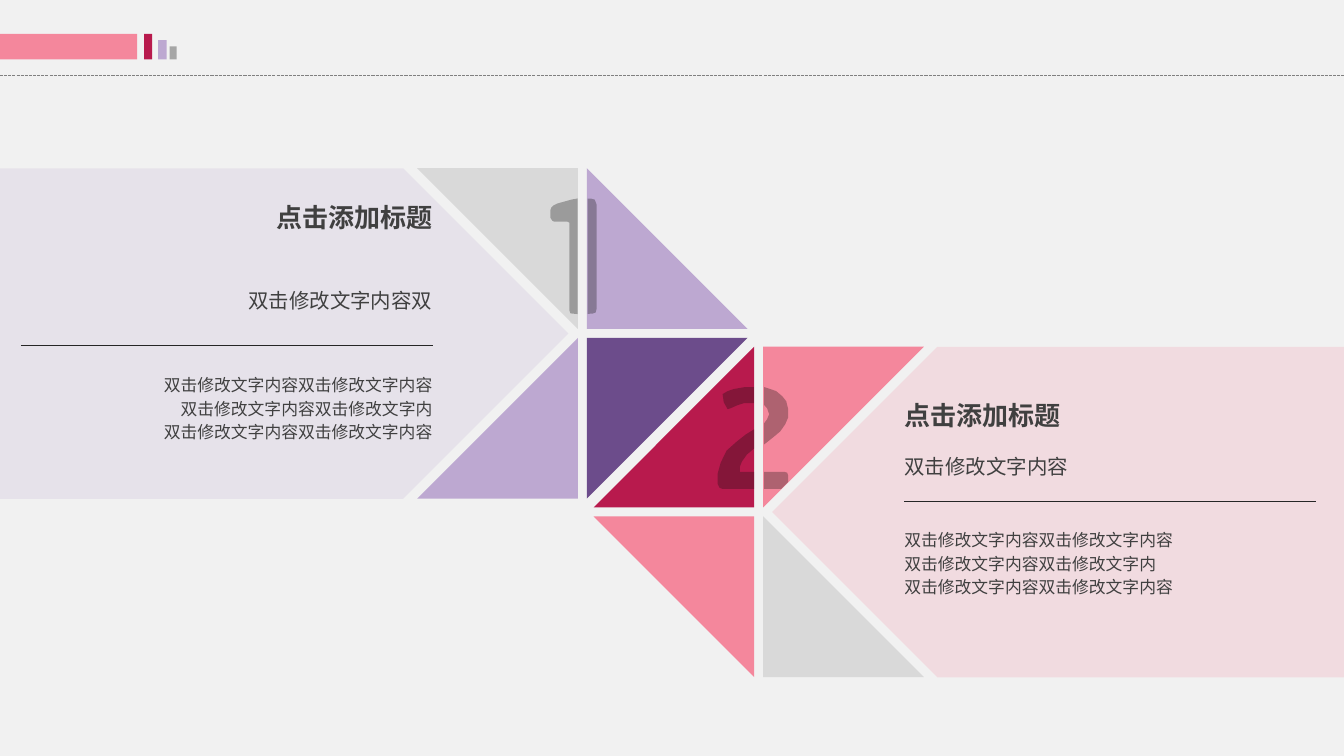
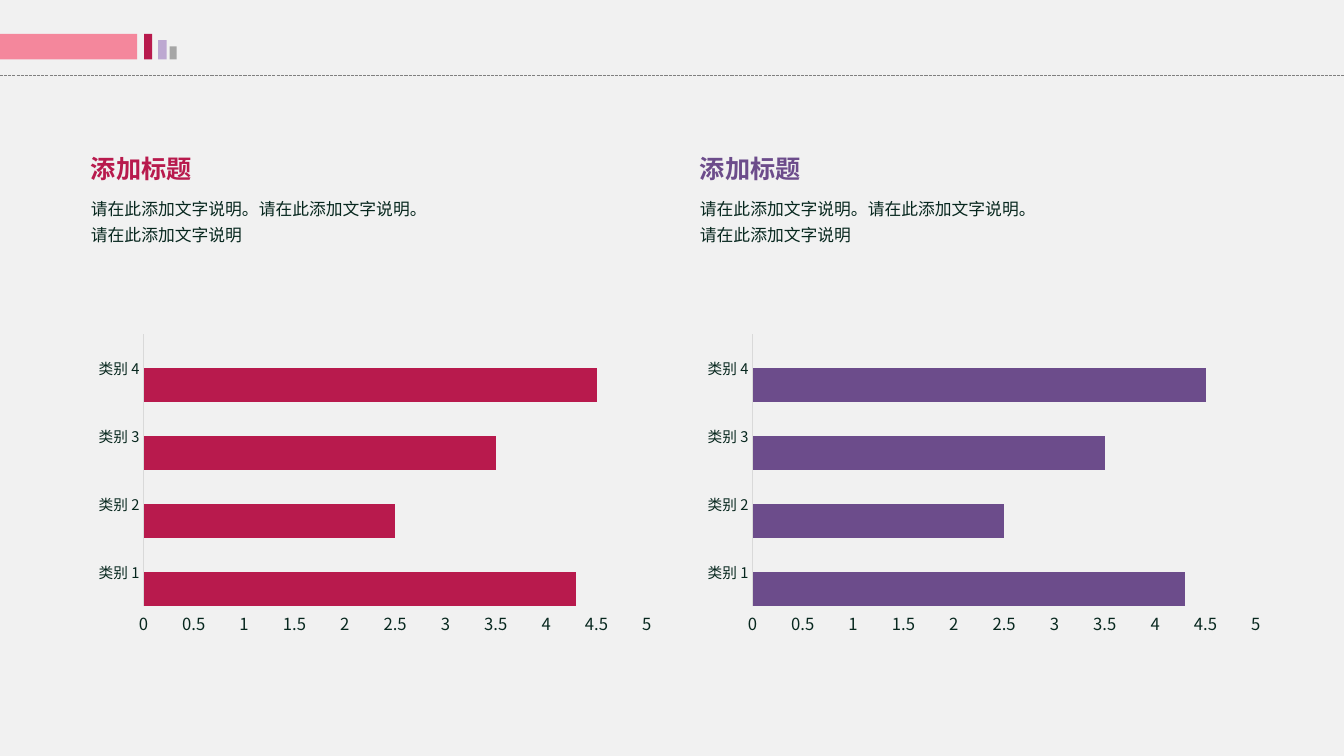
import pptx
import pptx.chart.data
import pptx.dml.color
import pptx.enum.chart
import pptx.enum.dml
import pptx.enum.shapes
import pptx.enum.text
import pptx.oxml.ns
import pptx.oxml.xmlchemy
import pptx.util

Pt = pptx.util.Pt
qn = pptx.oxml.ns.qn
new_element = pptx.oxml.xmlchemy.OxmlElement
RGB = pptx.dml.color.RGBColor.from_string
ALIGN = pptx.enum.text.PP_ALIGN
CJK = "Noto Sans CJK SC"
COLOURS = {
    "paper": "F1F1F1", "crimson": "B81A4D", "pink": "F4879C", "violet": "6C4C8B",
    "lilac": "BDA8D1", "silver": "D9D9D9", "grey": "A6A6A6", "dash": "808080",
    "rule": "262626", "text": "404040", "ink": "07271E", "digit": "0D0D0D",
    "navy": "0D4677", "amber": "ECAF45",
}
STYLES = {
    "heading": {"size": Pt(18.6), "bold": True, "name": "Karla"},
    "subheading": {"size": Pt(14.6), "name": CJK},
    "chart title": {"size": Pt(18), "bold": True, "name": CJK},
    "body": {"size": Pt(12), "name": CJK},
}


def draw_outline(page, points, colour, opacity=100):
    corners = [(Pt(x), Pt(y)) for x, y in points]
    builder = page.shapes.build_freeform(*corners[0], scale=1.0)
    builder.add_line_segments(corners[1:], close=True)
    shape = builder.convert_to_shape()
    shape.shadow.inherit = False
    shape.fill.solid()
    shape.fill.fore_color.rgb = RGB(COLOURS[colour])
    shape.line.fill.background()
    if opacity < 100:
        tint = shape._element.spPr.find(".//" + qn("a:srgbClr"))
        alpha = new_element("a:alpha")
        alpha.set("val", str(opacity * 1000))
        tint.append(alpha)


def write_text(page, left, top, width, lines, style, colour, spacing, align=ALIGN.LEFT):
    box = page.shapes.add_textbox(Pt(left), Pt(top), Pt(width), Pt(spacing * len(lines)))
    frame = box.text_frame
    layout = {"word_wrap": True, "margin_left": 0, "margin_right": 0,
              "margin_top": 0, "margin_bottom": 0}
    for key, value in layout.items():
        setattr(frame, key, value)
    for index, line in enumerate(lines):
        para = frame.add_paragraph() if index else frame.paragraphs[0]
        para.alignment = align
        para.line_spacing = Pt(spacing)
        span = para.add_run()
        span.text = line
        for key, value in STYLES[style].items():
            setattr(span.font, key, value)
        span.font.color.rgb = RGB(COLOURS[colour])
        east_asian = new_element("a:ea")
        east_asian.set("typeface", CJK)
        span.font._element.append(east_asian)


deck = pptx.Presentation()
deck.slide_width, deck.slide_height = Pt(960), Pt(540)
deck.slide_master.background.fill.solid()
deck.slide_master.background.fill.fore_color.rgb = RGB(COLOURS["paper"])
steps_page, charts_page = [deck.slides.add_slide(deck.slide_layouts[6]) for _ in range(2)]

header_bottom = 42.5
header_bars = [(0, 98, 18.2, "pink"), (102.9, 5.8, 18.2, "crimson"),
               (113, 6, 13.8, "lilac"), (121.2, 5, 9.4, "grey")]
for page in (steps_page, charts_page):
    for left, width, height, colour in header_bars:
        bar = page.shapes.add_shape(
            pptx.enum.shapes.MSO_SHAPE.RECTANGLE,
            Pt(left), Pt(header_bottom - height), Pt(width), Pt(height))
        bar.shadow.inherit = False
        bar.fill.solid()
        bar.fill.fore_color.rgb = RGB(COLOURS[colour])
        bar.line.fill.background()

panels = [(0, 288, 406, 120.2, "lilac"), (960, 669.6, 551.5, 247.7, "pink")]
panel_height = 236.1
for edge, shoulder, tip, top, colour in panels:
    bottom = top + panel_height
    draw_outline(steps_page, [(edge, top), (shoulder, top), (tip, top + panel_height / 2),
                              (shoulder, bottom), (edge, bottom)], colour, 20)

rules = [(page, 0, 960, 54, "dash") for page in (steps_page, charts_page)]
rules += [(steps_page, 15, 309, 247, "rule"), (steps_page, 646, 940.3, 358.3, "rule")]
for page, start, end, y, colour in rules:
    rule = page.shapes.add_connector(
        pptx.enum.shapes.MSO_CONNECTOR.STRAIGHT, Pt(start), Pt(y), Pt(end), Pt(y))
    rule.line.color.rgb = RGB(COLOURS[colour])
    rule.line.width = Pt(0.75)
    if colour == "dash":
        rule.line.dash_style = pptx.enum.dml.MSO_LINE.SQUARE_DOT
    rule._element.spPr.append(new_element("a:effectLst"))

step_body = ["双击修改文字内容双击修改文字内容", "双击修改文字内容双击修改文字内",
             "双击修改文字内容双击修改文字内容"]
step_texts = [
    (15, ALIGN.RIGHT, "双击修改文字内容双", (146, 205, 265.5)),
    (646, ALIGN.LEFT, "双击修改文字内容", (287.8, 324.2, 376.2)),
]
for left, align, subheading, tops in step_texts:
    parts = [(["点击添加标题"], "heading", 20), ([subheading], "subheading", 18),
             (step_body, "body", 16.8)]
    for top, (lines, style, spacing) in zip(tops, parts):
        write_text(steps_page, left, top, 294, lines, style, "text", spacing, align)

side, pitch = 114.8, 121.2
pinwheels = [
    (298, 120.2, [("silver", "bottom left"), ("lilac", "top right"),
                  ("lilac", "top left"), ("violet", "bottom right")]),
    (424, 247.7, [("crimson", "top left"), ("pink", "bottom right"),
                  ("pink", "bottom left"), ("silver", "top right")]),
]
for origin_x, origin_y, triangles in pinwheels:
    for index, (colour, cut_corner) in enumerate(triangles):
        row, column = divmod(index, 2)
        x, y = origin_x + column * pitch, origin_y + row * pitch
        corners = {"top left": (x, y), "top right": (x + side, y),
                   "bottom right": (x + side, y + side), "bottom left": (x, y + side)}
        del corners[cut_corner]
        draw_outline(steps_page, list(corners.values()), colour)

digit_halves = {
    "one left": [
        (412.6, 141.8), (408.2, 142.6), (398.2, 145.4), (395.3, 146.9), (393.8, 148.3),
        (393.1, 150.5), (393.1, 155.5), (394.6, 157.7), (396, 158.4), (405.4, 158.4),
        (406.8, 159.1), (406.8, 221.8), (407.5, 223.9), (412.6, 224.4)],
    "one right": [
        (419.8, 141.8), (421.9, 141.8), (424.8, 142.6), (426.2, 146.2), (426.2, 220.3),
        (425.5, 223.2), (423.4, 224), (419.8, 224.2)],
    "two foot": [
        (545.8, 337), (560.2, 337), (562.3, 337.7), (563, 339.8), (563, 344.2),
        (558, 349.2), (545.8, 349.2)],
    "two bowl": [
        (545.8, 276.5), (545.8, 289.4), (547.9, 291.6), (549.4, 295.9), (547.9, 299.5),
        (545.8, 302.4), (545.8, 317.5), (552.2, 312.5), (557.3, 308.2), (560.9, 303.1),
        (563, 298.1), (563, 292.3), (561.6, 286.6), (558.7, 283), (554.4, 279.4),
        (550.1, 277.9)],
    "two stem": [
        (538.6, 306.7), (532.8, 310.3), (526.3, 315.4), (519.1, 321.8), (514.8, 330.5),
        (512.6, 338.4), (512.6, 345.6), (514.1, 348.5), (516.2, 349.2), (538.6, 349.2),
        (538.6, 337), (528.5, 337), (528.5, 333.4), (529.9, 329.8), (533.5, 324.7),
        (538.6, 320.4)],
    "two cap": [
        (538.6, 276.5), (532.1, 276.5), (524.2, 277.9), (519.8, 279.4), (516.2, 281.5),
        (517, 287.3), (519.8, 292.3), (522, 291.6), (527, 289.4), (531.4, 288),
        (538.6, 288)],
}
for points in digit_halves.values():
    draw_outline(steps_page, points, "digit", 30)

plot_area = {"layoutTarget": "inner", "xMode": "edge", "yMode": "edge",
             "x": "0.1", "y": "0.02", "w": "0.87", "h": "0.87"}
value_format = {"minimum_scale": 0, "maximum_scale": 5, "major_unit": 0.5}
for left, colour in [(65, "crimson"), (500, "violet")]:
    write_text(charts_page, left, 111.3, 242.6, ["添加标题"], "chart title", colour, 20)
    write_text(charts_page, left, 138, 242.6,
               ["请在此添加文字说明。请在此添加文字说明。请在此添加文字说明"], "body", "ink", 18.6)

    data = pptx.chart.data.CategoryChartData(number_format="General")
    data.categories = [f"类别 {number}" for number in range(1, 5)]
    data.add_series("Series 1", [4.3, 2.5, 3.5, 4.5])
    for number in (2, 3):
        data.add_series(f"Series {number}", [None] * 4)
    chart = charts_page.shapes.add_chart(
        pptx.enum.chart.XL_CHART_TYPE.BAR_CLUSTERED,
        Pt(left - 3.8), Pt(234), Pt(413.3), Pt(223.9), data).chart
    chart.has_legend = chart.has_title = False
    chart.font.size = Pt(10)
    chart.font.name = "Noto Sans CJK KR"
    plot = chart.plots[0]
    for key, value in {"gap_width": 0, "overlap": 50, "vary_by_categories": False}.items():
        setattr(plot, key, value)
    for series, shade in zip(plot.series, (colour, "navy", "amber")):
        series.format.fill.solid()
        series.format.fill.fore_color.rgb = RGB(COLOURS[shade])

    for axis, size in [(chart.category_axis, 10.5), (chart.value_axis, 11.9)]:
        axis.has_major_gridlines = False
        axis.major_tick_mark = axis.minor_tick_mark = pptx.enum.chart.XL_TICK_MARK.NONE
        font = axis.tick_labels.font
        for key, value in {"size": Pt(size), "name": CJK}.items():
            setattr(font, key, value)
        font.color.rgb = RGB(COLOURS["ink"])
        east_asian = new_element("a:ea")
        east_asian.set("typeface", CJK)
        font._element.append(east_asian)
    for key, value in value_format.items():
        setattr(chart.value_axis, key, value)
    chart.value_axis.format.line.fill.background()
    chart.category_axis.format.line.color.rgb = RGB(COLOURS["silver"])
    chart.category_axis.format.line.width = Pt(0.75)

    plot_element = chart._chartSpace.chart.plotArea
    for old_layout in plot_element.findall(qn("c:layout")):
        plot_element.remove(old_layout)
    layout = new_element("c:layout")
    manual = new_element("c:manualLayout")
    layout.append(manual)
    for key, value in plot_area.items():
        setting = new_element(f"c:{key}")
        setting.set("val", value)
        manual.append(setting)
    plot_element.insert(0, layout)

deck.save("out.pptx")
